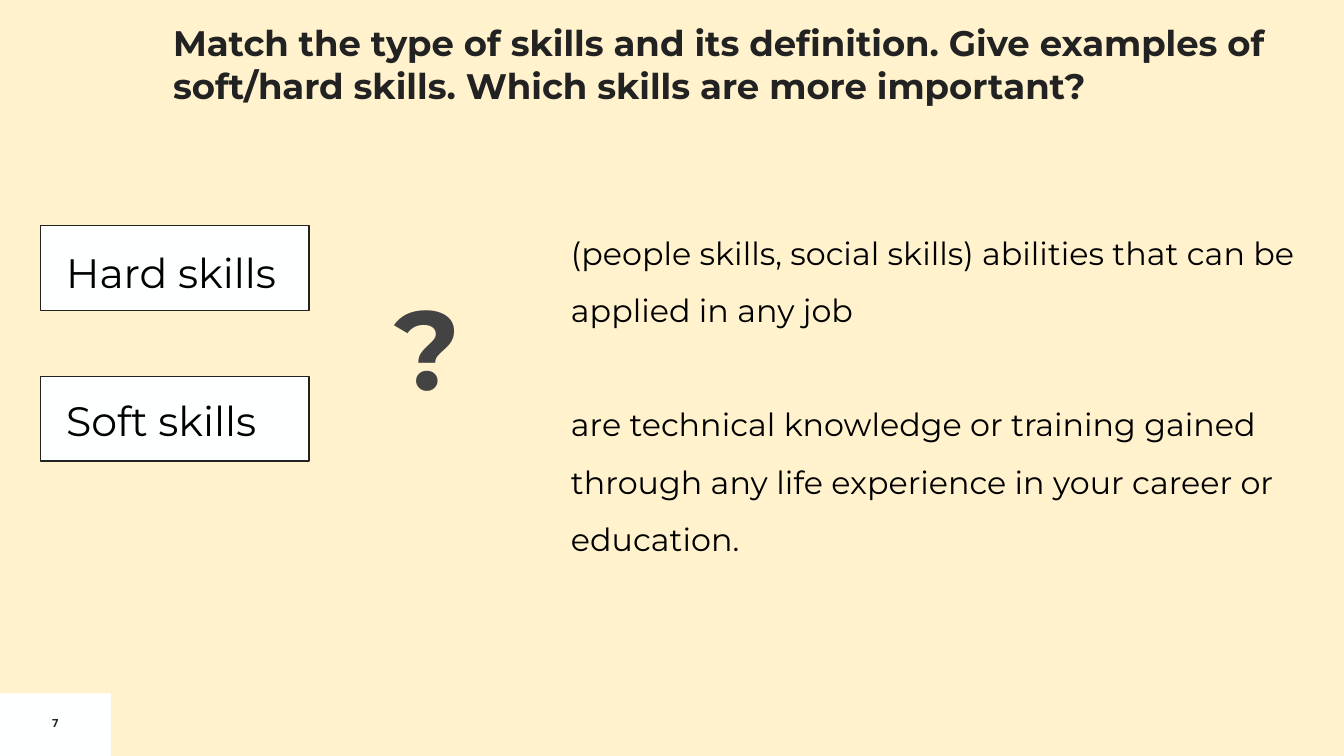
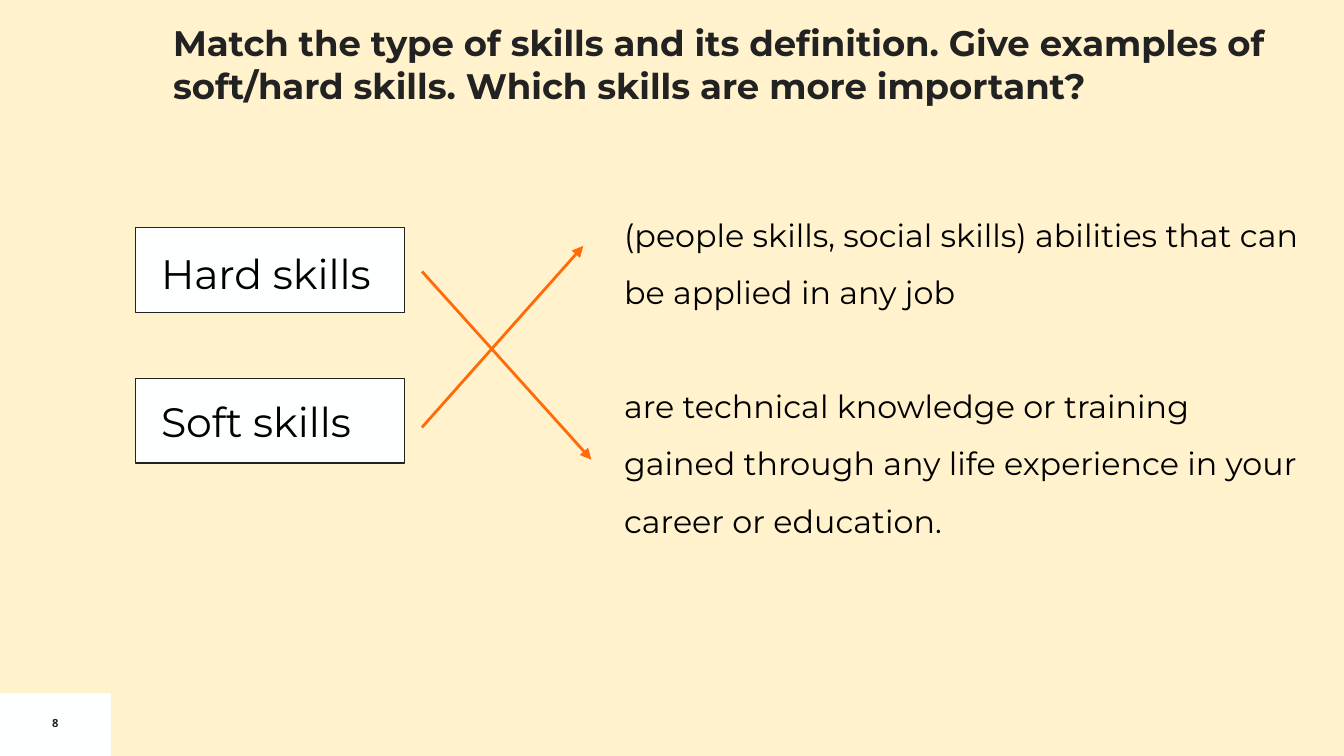
import dataclasses
import lxml.etree
import pptx
import pptx.dml.color
import pptx.enum.shapes
import pptx.enum.text
import pptx.oxml.ns
import pptx.util

PX = 4572
TITLE = ("Match the type of skills and its definition. Give examples of "
         "soft/hard skills. Which skills are more important?")
SKILLS = ["Hard skills", "Soft skills"]
MEANS = [
    "(people skills, social skills) abilities that can be applied in any job",
    "are technical knowledge or training gained through any life experience "
    "in your career or education.",
]


@dataclasses.dataclass(frozen=True)
class Theme:
    back: str = "FFF2CC"
    white: str = "FEFFFF"
    ink: str = "222222"
    black: str = "000000"
    gray: str = "434343"
    accent: str = "FF6B08"
    font: str = "Montserrat"
    small: str = "Open Sans"
    title: int = 19
    skill: int = 22
    body: int = 17
    mark: int = 60
    page: int = 6
    edge: float = 0.75
    arrow: float = 1.5


def color(code):
    return pptx.dml.color.RGBColor.from_string(code)


def emu(*sizes):
    return [size * PX for size in sizes]


class Deck:
    """Holds the style and the slide being drawn."""

    def __init__(self, theme):
        self.theme = theme
        self.file = pptx.Presentation()
        self.file.slide_width, self.file.slide_height = emu(2000, 1125)

    def start(self, page, width):
        theme = self.theme
        self.slide = self.file.slides.add_slide(self.file.slide_layouts[6])
        fill = self.slide.background.fill
        fill.solid()
        fill.fore_color.rgb = color(theme.back)
        self.box(0, 1032, 165, 93)
        label = self.text([page], 0, 1046, 165, 60, theme.page, theme.ink,
                          bold=True, font=theme.small, pad=(14, 8))
        label.vertical_anchor = pptx.enum.text.MSO_ANCHOR.MIDDLE
        label.paragraphs[0].alignment = pptx.enum.text.PP_ALIGN.CENTER
        self.text([TITLE], 238, 12, width, 168, theme.title, theme.ink,
                  bold=True)

    def box(self, left, top, width, height, edge=False):
        shape = self.slide.shapes.add_shape(
            pptx.enum.shapes.MSO_SHAPE.RECTANGLE, *emu(left, top, width, height))
        shape.shadow.inherit = False
        shape.fill.solid()
        shape.fill.fore_color.rgb = color(self.theme.white)
        if edge:
            shape.line.color.rgb = color(self.theme.ink)
            shape.line.width = pptx.util.Pt(self.theme.edge)
        else:
            shape.line.fill.background()

    def text(self, lines, left, top, width, height, size, ink, bold=False,
             font=None, pad=(20, 20), gap=0, pitch=None, indent=0):
        frame = self.slide.shapes.add_textbox(
            *emu(left, top, width, height)).text_frame
        frame.word_wrap = True
        frame.margin_left, frame.margin_top = emu(*pad)
        frame.margin_right, frame.margin_bottom = emu(*pad)
        for i, line in enumerate(lines):
            para = frame.add_paragraph() if i else frame.paragraphs[0]
            para.text = line
            if indent:
                props = para._p.get_or_add_pPr()
                props.set("marL", str(indent * PX))
                props.set("indent", "0")
            if pitch:
                para.line_spacing = pitch
            if i:
                para.space_before = pptx.util.Pt(gap)
            para.font.name = font or self.theme.font
            para.font.size = pptx.util.Pt(size)
            para.font.bold = bold
            para.font.color.rgb = color(ink)
        return frame

    def skills(self, left, top):
        for step in reversed(range(len(SKILLS))):
            self.box(left, top + 224 * step, 400, 126, edge=True)

    def names(self, left, top):
        self.text(SKILLS, left, top, 580, 336, self.theme.skill,
                  self.theme.black, gap=53)

    def means(self, left, top, indent=0):
        self.text(MEANS, left, top, 1150, 526, self.theme.body,
                  self.theme.black, gap=30.5, pitch=1.5, indent=indent)

    def arrow(self, *ends):
        line = self.slide.shapes.add_connector(
            pptx.enum.shapes.MSO_CONNECTOR.STRAIGHT, *emu(*ends))
        line.line.color.rgb = color(self.theme.accent)
        line.line.width = pptx.util.Pt(self.theme.arrow)
        name = pptx.oxml.ns.qn
        lxml.etree.SubElement(line.line._get_or_add_ln(), name("a:tailEnd"),
                              type="triangle")
        lxml.etree.SubElement(line._element.spPr, name("a:effectLst"))


def main():
    theme = Theme()
    deck = Deck(theme)

    deck.start("7", 1708)
    deck.skills(60, 336)
    deck.names(79, 348)
    deck.means(830, 300)
    deck.text(["?"], 568, 395, 208, 242, theme.mark, theme.gray, bold=True)

    deck.start("8", 1720)
    deck.skills(202, 339)
    deck.names(220, 350)
    deck.means(809, 273, indent=100)
    deck.arrow(628, 636, 868, 366)
    deck.arrow(628, 404, 880, 684)

    deck.file.save("out.pptx")


if __name__ == "__main__":
    main()
